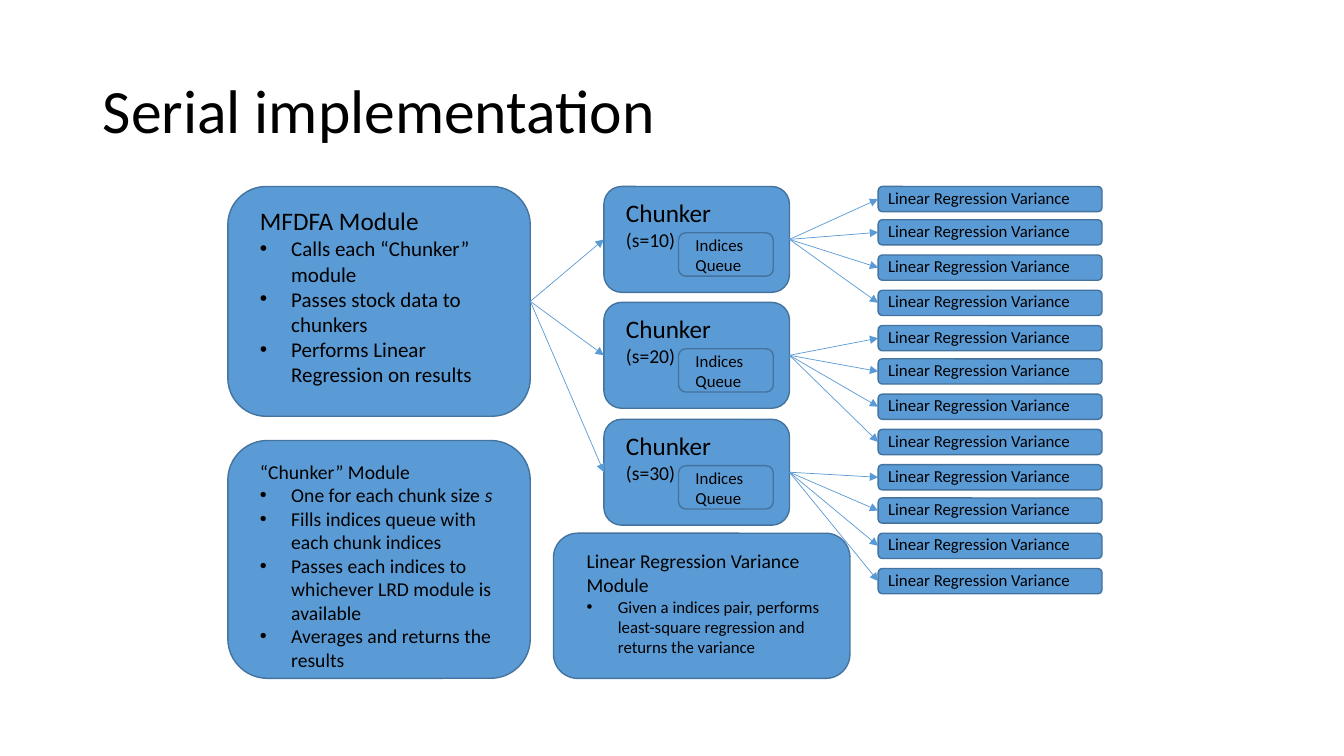
import pptx
import pptx.util
import pptx.dml.color
import pptx.enum.dml
import pptx.enum.shapes
import pptx.enum.text
import pptx.oxml
import pptx.oxml.ns
from dataclasses import dataclass

Inches = pptx.util.Inches
Pt = pptx.util.Pt
SHAPES = pptx.enum.shapes
TEXT = pptx.enum.text

# Content: a module is (box, text area, head, head size, bullet size, bullets).
# A bullet is a list of (text, italic) runs.
TITLE = "Serial implementation"
MAIN = (
    (2.26, 1.85, 3, 2.28), (2.48, 1.99, 2.51, 1.92), "MFDFA Module", 18, 15,
    [
        [("Calls each “Chunker” module", False)],
        [("Passes stock data to chunkers", False)],
        [("Performs Linear Regression on results", False)],
    ],
)
NOTES = [
    (
        (2.26, 4.37, 3, 2.36), (2.48, 4.51, 2.62, 2.22), "“Chunker” Module", 14, 14,
        [
            [("One for each chunk size ", False), ("s", True)],
            [("Fills indices queue with each chunk indices", False)],
            [("Passes each indices to whichever LRD module is available", False)],
            [("Averages and returns the results", False)],
        ],
    ),
    (
        (5.49, 5.29, 2.94, 1.44), (5.72, 5.4, 2.51, 1.18),
        "Linear Regression Variance Module", 14, 12,
        [[("Given a indices pair, performs least-square regression "
           "and returns the variance", False)]],
    ),
]
CHUNKS = [("(s=10)", 1.85), ("(s=20)", 3), ("(s=30)", 4.16)]
QUEUE = "Indices Queue"
WORKER = "Linear Regression Variance"

# Layout: worker rows repeat in groups of four, one group per chunker
TOP = 1.85
GROUP = 1.38
ROWS = (0, 0.33, 0.68, 1.03)
INDENT = 0.31


@dataclass(frozen=True)
class Theme:
    font: str = "Calibri"
    ink: str = "000000"
    fill: str = "5B9BD5"
    edge: str = "43739E"
    title: int = 44
    head: int = 18
    mid: int = 14
    small: int = 12
    border: float = 1
    arrow: float = 0.5


THEME = Theme()


def color(code):
    return pptx.dml.color.RGBColor.from_string(code)


def apply(item, values):
    for name, value in values.items():
        setattr(item, name, value)


def add_run(para, text, size, slant=False):
    run = para.add_run()
    run.text = text
    apply(run.font, {"name": THEME.font, "size": Pt(size), "italic": slant})
    run.font.color.rgb = color(THEME.ink)


def add_box(slide, area):
    box = slide.shapes.add_shape(
        SHAPES.MSO_SHAPE.ROUNDED_RECTANGLE, *map(Inches, area))
    box.shadow.inherit = False
    box.fill.solid()
    box.fill.fore_color.rgb = color(THEME.fill)
    box.line.color.rgb = color(THEME.edge)
    box.line.width = Pt(THEME.border)
    return box


def add_text(slide, area, runs):
    """Add a wrapped text box with one paragraph of (text, size) runs."""
    frame = slide.shapes.add_textbox(*map(Inches, area)).text_frame
    apply(frame, {"word_wrap": True,
                  "auto_size": TEXT.MSO_AUTO_SIZE.SHAPE_TO_FIT_TEXT})
    for text, size in runs:
        add_run(frame.paragraphs[0], text, size)
    return frame


def add_bullet(frame, runs, size):
    para = frame.add_paragraph()
    for text, slant in runs:
        add_run(para, text, size, slant)
    props = para._p.get_or_add_pPr()
    props.set("marL", str(Inches(INDENT)))
    props.set("indent", str(-Inches(INDENT)))
    space = pptx.oxml.ns.nsdecls("a")
    for mark in ('buFont %s typeface="Arial"', 'buChar %s char="•"'):
        props.append(pptx.oxml.parse_xml("<a:" + mark % space + "/>"))


def add_module(slide, module):
    place, area, head, size, small, bullets = module
    box = add_box(slide, place)
    frame = add_text(slide, area, [(head, size)])
    for runs in bullets:
        add_bullet(frame, runs, small)
    return box


def add_chunk(slide, label, top):
    box = add_box(slide, (5.99, top, 1.84, 1.05))
    add_text(slide, (6.11, top + 0.06, 1.56, 0.64),
             [("Chunker ", THEME.head), (label, THEME.mid)])
    add_box(slide, (6.73, top + 0.46, 0.94, 0.43))
    add_text(slide, (6.8, top + 0.43, 0.8, 0.5), [(QUEUE, THEME.small)])
    return box


def add_worker(slide, top):
    box = add_box(slide, (8.71, top, 2.22, 0.25))
    add_text(slide, (8.71, top - 0.04, 2.35, 0.3), [(WORKER, THEME.small)])
    return box


def add_arrow(slide, start, end):
    """Join the right side of start to the left side of end."""
    arrow = slide.shapes.add_connector(SHAPES.MSO_CONNECTOR.STRAIGHT, 0, 0, 0, 0)
    arrow.begin_connect(start, 3)
    arrow.end_connect(end, 1)
    arrow.line.color.rgb = color(THEME.fill)
    arrow.line.width = Pt(THEME.arrow)
    space = pptx.oxml.ns.nsdecls("a")
    arrow.line._get_or_add_ln().append(
        pptx.oxml.parse_xml(f'<a:tailEnd {space} type="triangle"/>'))
    arrow._element.spPr.append(pptx.oxml.parse_xml(f"<a:effectLst {space}/>"))


def set_title(slide):
    title = slide.shapes.title
    apply(title, {"left": Inches(0.92), "top": Inches(0.4),
                  "width": Inches(11.5), "height": Inches(1.45)})
    frame = title.text_frame
    apply(frame, {"vertical_anchor": TEXT.MSO_ANCHOR.MIDDLE, "word_wrap": True})
    para = frame.paragraphs[0]
    apply(para, {"alignment": TEXT.PP_ALIGN.LEFT, "line_spacing": 0.9})
    add_run(para, TITLE, THEME.title)


def main():
    deck = pptx.Presentation()
    apply(deck, {"slide_width": Inches(13.33), "slide_height": Inches(7.5)})
    slide = deck.slides.add_slide(deck.slide_layouts[5])
    set_title(slide)

    root = add_module(slide, MAIN)
    chunks = [add_chunk(slide, label, top) for label, top in CHUNKS]
    groups = [[add_worker(slide, TOP + GROUP * index + row) for row in ROWS]
              for index in range(len(chunks))]

    for chunk in chunks:
        add_arrow(slide, root, chunk)
    for chunk, group in zip(chunks, groups):
        for worker in group:
            add_arrow(slide, chunk, worker)

    for module in NOTES:
        add_module(slide, module)
    deck.save("out.pptx")


if __name__ == "__main__":
    main()
